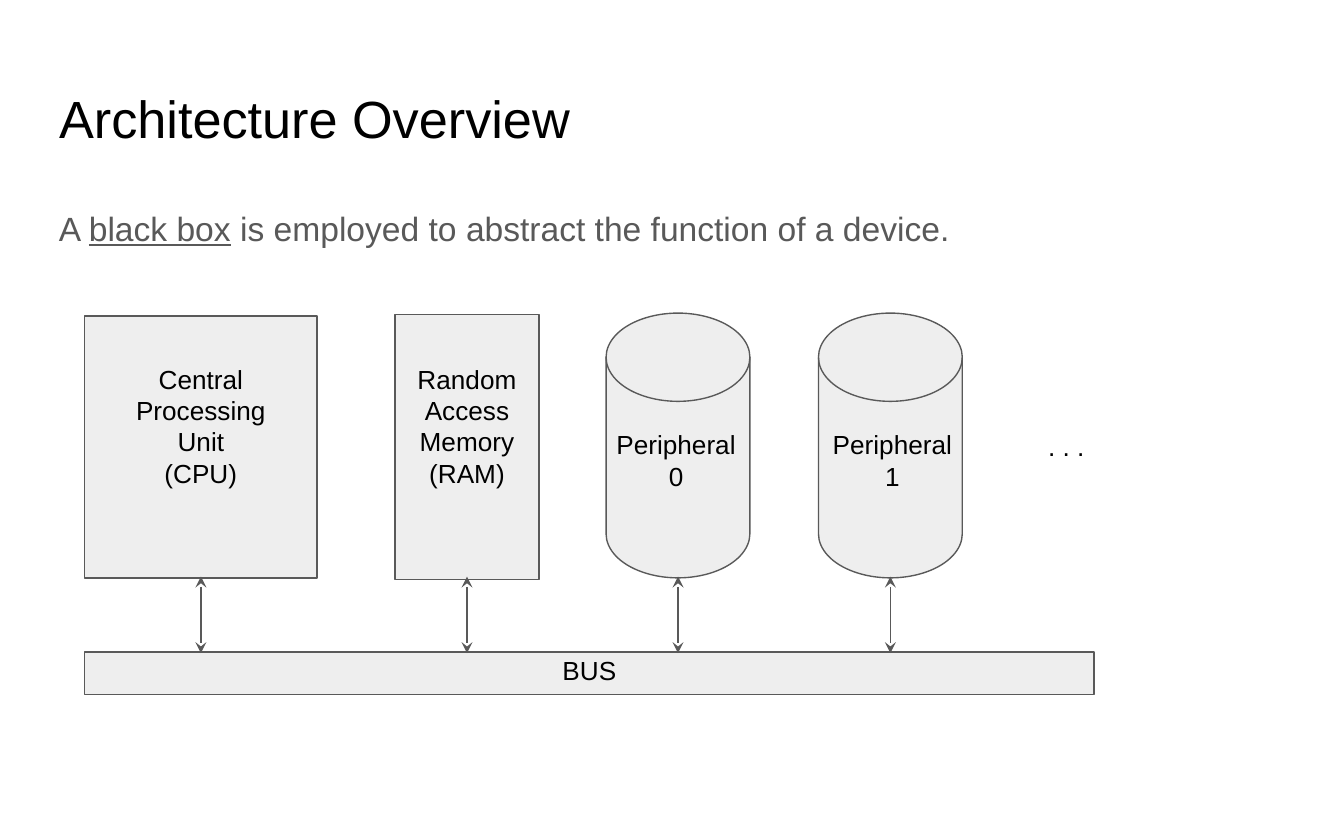
from lxml.etree import SubElement
from pptx import Presentation
from pptx.dml.color import RGBColor
from pptx.enum.shapes import MSO_CONNECTOR, MSO_SHAPE
from pptx.enum.text import MSO_ANCHOR, MSO_AUTO_SIZE, PP_ALIGN
from pptx.oxml.ns import qn
from pptx.util import Inches, Pt

BLACK = RGBColor(0x00, 0x00, 0x00)
GRAY = RGBColor(0x59, 0x59, 0x59)
LIGHT = RGBColor(0xEE, 0xEE, 0xEE)
WHITE = RGBColor(0xFF, 0xFF, 0xFF)

# Content
TITLE = "Architecture Overview"
INTRO = [("A ", False), ("black box", True),
         (" is employed to abstract the function of a device.", False)]
BOX, DISK = MSO_SHAPE.RECTANGLE, MSO_SHAPE.FLOWCHART_MAGNETIC_DISK
# Preset, device position and size, label lines, label left, top and width
DEVICES = [
    (BOX, (0.63, 2.35, 1.73, 1.95),
     ["Central", "Processing", "Unit", "(CPU)"], (0.63, 2.6, 1.73)),
    (BOX, (2.94, 2.34, 1.07, 1.97),
     ["Random", "Access", "Memory", "(RAM)"], (2.94, 2.6, 1.07)),
    (DISK, (4.51, 2.33, 1.07, 1.97), ["Peripheral", "0"], (4.37, 3.09, 1.32)),
    (DISK, (6.09, 2.33, 1.07, 1.97), ["Peripheral", "1"], (5.98, 3.09, 1.32)),
]
BUS = (0.63, 4.85, 7.51, 0.32)
ARROW_TOP, ARROW_BOTTOM = 4.29, 4.86

presentation = Presentation()
presentation.slide_width, presentation.slide_height = Inches(10), Inches(6.25)
slide = presentation.slides.add_slide(presentation.slide_layouts[5])
slide.background.fill.solid()
slide.background.fill.fore_color.rgb = WHITE


def write_text(shape, paragraphs, size=14, color=BLACK, align=PP_ALIGN.LEFT,
               line_spacing=1.0):
    """Each paragraph is a list of (text, underlined) runs."""
    frame = shape.text_frame
    frame.word_wrap = True
    frame.auto_size = MSO_AUTO_SIZE.NONE
    frame.vertical_anchor = MSO_ANCHOR.TOP
    frame.margin_left = frame.margin_right = Inches(0.1)
    frame.margin_top = frame.margin_bottom = Inches(0.1)
    for index, runs in enumerate(paragraphs):
        paragraph = frame.add_paragraph() if index else frame.paragraphs[0]
        paragraph.alignment = align
        paragraph.line_spacing = line_spacing
        for text, underlined in runs:
            run = paragraph.add_run()
            run.text = text
            run.font.name = "Arial"
            run.font.size = Pt(size)
            run.font.color.rgb = color
            if underlined:
                run.font.underline = True


def add_text(position, paragraphs, **text_format):
    write_text(slide.shapes.add_textbox(*map(Inches, position)),
               paragraphs, **text_format)


def add_label(lines, left, top, width, height):
    add_text((left, top, width, height), [[(line, False)] for line in lines],
             align=PP_ALIGN.CENTER)


def add_block(preset, position):
    shape = slide.shapes.add_shape(preset, *map(Inches, position))
    shape.shadow.inherit = False
    shape.fill.solid()
    shape.fill.fore_color.rgb = LIGHT
    shape.line.color.rgb = GRAY
    shape.line.width = Pt(0.75)


def add_double_arrow(x):
    arrow = slide.shapes.add_connector(
        MSO_CONNECTOR.STRAIGHT, Inches(x), Inches(ARROW_TOP),
        Inches(x), Inches(ARROW_BOTTOM))
    arrow.line.color.rgb = GRAY
    arrow.line.width = Pt(0.75)
    line = arrow.line._get_or_add_ln()
    for end in ("a:headEnd", "a:tailEnd"):
        SubElement(line, qn(end), type="stealth", w="med", len="med")
    SubElement(arrow._element.spPr, qn("a:effectLst"))


# Title and introduction
title = slide.shapes.title
title.left, title.top = Inches(0.34), Inches(0.54)
title.width, title.height = Inches(9.32), Inches(0.7)
write_text(title, [[(TITLE, False)]], size=28)
add_text((0.34, 1.4, 9.32, 0.6), [INTRO], size=18, color=GRAY,
         line_spacing=1.15)

# Devices and bus
for preset, position, lines, label in DEVICES:
    add_block(preset, position)
add_text((7.7, 3.1, 1.12, 0.68), [[(". . .", False)]])
add_block(BOX, BUS)

# Arrows from the centre of each device to the bus
for preset, (left, top, width, height), lines, label in DEVICES:
    add_double_arrow(left + width / 2)

# Labels
for preset, position, lines, label in DEVICES:
    add_label(lines, *label, 0.78)
add_label(["BUS"], 0.63, 4.77, 7.51, 0.68)

presentation.save("out.pptx")
